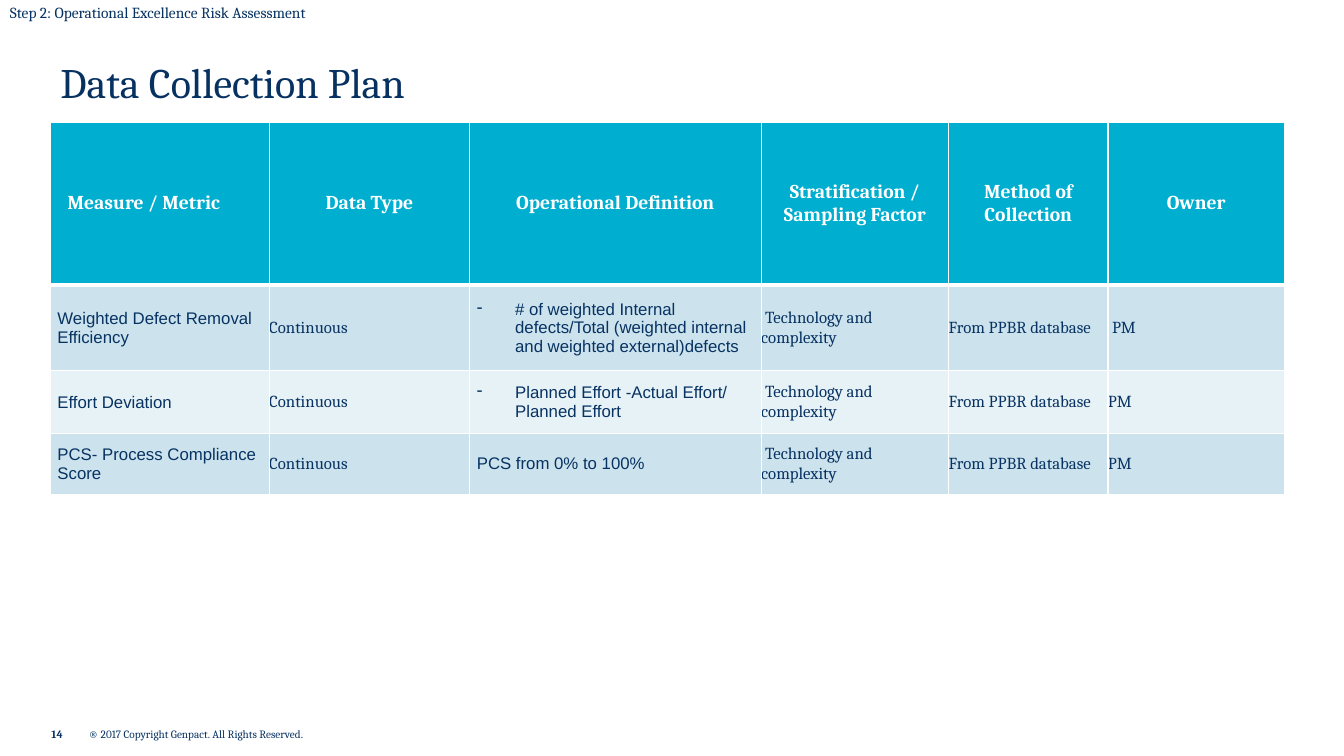
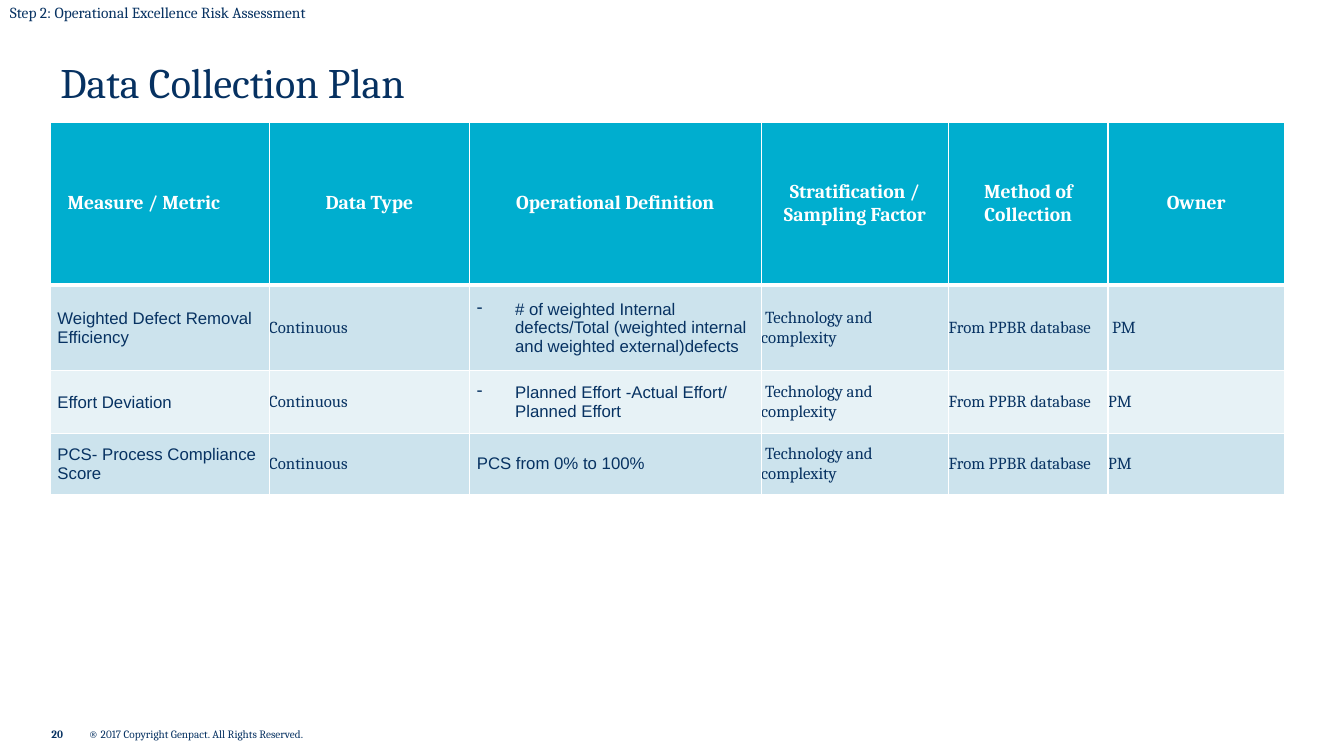
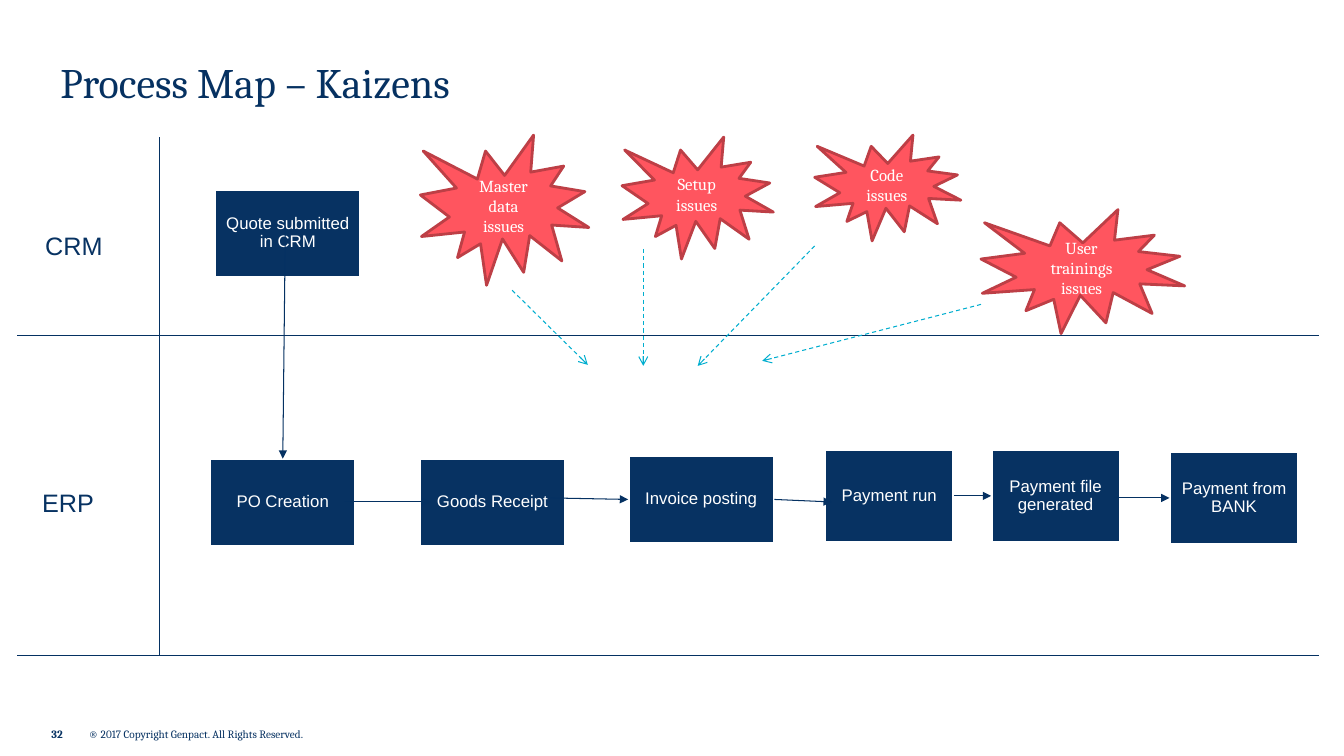
from dataclasses import dataclass

from lxml.etree import SubElement
from pptx import Presentation
from pptx.dml.color import RGBColor
from pptx.enum.dml import MSO_LINE
from pptx.enum.shapes import MSO_CONNECTOR, MSO_SHAPE
from pptx.enum.text import MSO_ANCHOR, PP_ALIGN
from pptx.oxml import parse_xml
from pptx.oxml.ns import nsdecls, qn
from pptx.util import Inches, Pt


@dataclass(frozen=True)
class Theme:
    navy: str = "073262"
    title_navy: str = "063161"
    line_navy: str = "053162"
    cyan: str = "00AECF"
    white: str = "FFFFFF"
    row_dark: str = "CCE3ED"
    row_light: str = "E7F2F6"
    red: str = "FF555F"
    dark_red: str = "BD3F46"
    serif: str = "Cambria"
    sans: str = "Arial"
    title_size: int = 30
    lane_size: int = 18
    header_size: int = 14
    body_size: int = 12
    step_size: int = 11
    footer_size: int = 8


THEME = Theme()
TOP, LEFT, BOTTOM, RIGHT = range(4)

PLAN_COLUMNS = [2.17, 1.99, 2.89, 1.86, 1.58, 1.75]
PLAN_ROWS = [1.62, 0.85, 0.62, 0.61]
PLAN_HEADERS = [
    "Measure / Metric", "Data Type", "Operational Definition",
    "Stratification / Sampling Factor", "Method of Collection", "Owner",
]
# Metric, operational definition, whether the definition is bulleted, owner indent
PLAN_METRICS = [
    ("Weighted Defect Removal Efficiency",
     "# of weighted Internal defects/Total (weighted internal and weighted external)defects",
     True, 0.04),
    ("Effort Deviation", "Planned Effort -Actual Effort/ Planned Effort", True, 0),
    ("PCS- Process Compliance Score", "PCS from 0% to 100%", False, 0),
]


def rgb(value):
    return RGBColor.from_string(value)


def indent(paragraph, left=0, first=0, bullet=None):
    properties = paragraph._p.get_or_add_pPr()
    properties.set("marL", str(Inches(left)))
    properties.set("indent", str(Inches(first)))
    if bullet:
        SubElement(properties, qn("a:buChar")).set("char", bullet)


def set_borders(cell, top=1, bottom=1):
    """Put white borders on a cell; widths are in points."""
    properties = cell._tc.get_or_add_tcPr()
    widths = {"lnL": 1, "lnR": 1, "lnT": top, "lnB": bottom}
    for position, (side, width) in enumerate(widths.items()):
        properties.insert(position, parse_xml(
            f'<a:{side} {nsdecls("a")} w="{Pt(width)}"><a:solidFill>'
            f'<a:srgbClr val="{THEME.white}"/></a:solidFill></a:{side}>'))


class Deck:
    def __init__(self):
        self.presentation = Presentation()
        self.presentation.slide_width = Inches(13.33)
        self.presentation.slide_height = Inches(7.5)
        self.slide = None

    def new_slide(self, title, number):
        self.slide = self.presentation.slides.add_slide(self.presentation.slide_layouts[6])
        footer = {"size": THEME.footer_size, "inset": 0, "anchor": MSO_ANCHOR.MIDDLE}
        self.label(str(number), 0.51, 7.16, 0.75, 0.24, bold=True, **footer)
        self.label("® 2017 Copyright Genpact. All Rights Reserved.",
                   0.88, 7.16, 2.58, 0.24, **footer)
        self.label(title, 0.5, 0.52, 7.91, 0.58, size=THEME.title_size,
                   color=THEME.title_navy, anchor=MSO_ANCHOR.MIDDLE)

    def set_text(self, paragraph, text, size, color, font=THEME.serif, bold=False, align=None):
        paragraph.text = text
        paragraph.alignment = align
        style = paragraph.font
        style.name, style.size, style.bold = font, Pt(size), bold
        style.color.rgb = rgb(color)

    def label(self, text, left, top, width, height, size, color=THEME.navy,
              font=THEME.serif, bold=False, inset=None, anchor=MSO_ANCHOR.TOP):
        frame = self.slide.shapes.add_textbox(
            Inches(left), Inches(top), Inches(width), Inches(height)).text_frame
        frame.word_wrap = True
        frame.vertical_anchor = anchor
        if inset is not None:
            frame.margin_left = frame.margin_right = Inches(inset)
            frame.margin_top = frame.margin_bottom = Inches(inset)
        self.set_text(frame.paragraphs[0], text, size, color, font, bold)

    def filled_shape(self, preset, text, left, top, width, height, fill, line, font):
        shape = self.slide.shapes.add_shape(
            preset, Inches(left), Inches(top), Inches(width), Inches(height))
        shape.shadow.inherit = False
        shape.fill.solid()
        shape.fill.fore_color.rgb = rgb(fill)
        shape.line.color.rgb = rgb(line)
        shape.line.width = Pt(2)
        shape.text_frame.vertical_anchor = MSO_ANCHOR.MIDDLE
        self.set_text(shape.text_frame.paragraphs[0], text, THEME.body_size, THEME.white,
                      font, align=PP_ALIGN.CENTER)
        return shape

    def step(self, text, left, top, width=1.45, height=0.87):
        box = self.filled_shape(MSO_SHAPE.RECTANGLE, text, left, top, width, height,
                                THEME.navy, THEME.white, THEME.sans)
        frame = box.text_frame
        frame.margin_left = frame.margin_right = Inches(0.05)
        frame.margin_top = frame.margin_bottom = Inches(0.05)
        frame.paragraphs[0].line_spacing = 0.9
        return box

    def burst(self, text, left, top, width, height):
        self.filled_shape(MSO_SHAPE.EXPLOSION1, text, left, top, width, height,
                          THEME.red, THEME.dark_red, THEME.serif)

    def line(self, start, end, color=THEME.line_navy, head=None, dashed=False,
             begin=None, finish=None):
        """Draw a line; begin and finish are (box, side) pairs to join."""
        connector = self.slide.shapes.add_connector(
            MSO_CONNECTOR.STRAIGHT, *[Inches(value) for value in (*start, *end)])
        connector.line.color.rgb = rgb(color)
        connector.line.width = Pt(0.75)
        if dashed:
            connector.line.dash_style = MSO_LINE.DASH
        properties = connector._element.spPr
        if head:
            SubElement(properties.find(qn("a:ln")), qn("a:tailEnd")).set("type", head)
        SubElement(properties, qn("a:effectLst"))
        if begin:
            connector.begin_connect(*begin)
        if finish:
            connector.end_connect(*finish)

    def cell(self, cell, text, fill, size=THEME.body_size, color=THEME.navy,
             font=THEME.serif, bold=False, align=None, margins=(0, 0),
             left=0, first=0, bullet=None, top=1, bottom=1):
        cell.fill.solid()
        cell.fill.fore_color.rgb = rgb(fill)
        set_borders(cell, top, bottom)
        cell.vertical_anchor = MSO_ANCHOR.MIDDLE
        cell.margin_left, cell.margin_right = [Inches(margin) for margin in margins]
        cell.margin_top = cell.margin_bottom = 0
        paragraph = cell.text_frame.paragraphs[0]
        indent(paragraph, left, first, bullet)
        self.set_text(paragraph, text, size, color, font, bold, align)

    def plan_table(self):
        table = self.slide.shapes.add_table(
            len(PLAN_ROWS), len(PLAN_COLUMNS), Inches(0.5), Inches(1.21),
            Inches(sum(PLAN_COLUMNS)), Inches(sum(PLAN_ROWS))).table
        table.horz_banding = False
        for column, width in zip(table.columns, PLAN_COLUMNS):
            column.width = Inches(width)
        for row, height in zip(table.rows, PLAN_ROWS):
            row.height = Inches(height)

        for index, header in enumerate(PLAN_HEADERS):
            self.cell(table.cell(0, index), header, THEME.cyan, THEME.header_size,
                      THEME.white, bold=True, bottom=3,
                      align=PP_ALIGN.CENTER if index else PP_ALIGN.LEFT,
                      margins=(0, 0) if index else (0.17, 0))

        sans = {"font": THEME.sans, "margins": (0.07, 0.07)}
        bulleted = {"left": 0.38, "first": -0.38, "bullet": "-"}
        for row, (metric, definition, is_bulleted, owner_indent) in enumerate(PLAN_METRICS, 1):
            entries = [
                (metric, sans),
                ("Continuous", {}),
                (definition, {**sans, **(bulleted if is_bulleted else {})}),
                ("Technology and complexity", {"first": 0.04}),
                ("From PPBR database", {}),
                ("PM", {"first": owner_indent}),
            ]
            fill = THEME.row_dark if row % 2 else THEME.row_light
            for column, (text, style) in enumerate(entries):
                self.cell(table.cell(row, column), text, fill,
                          top=3 if row == 1 else 1, **style)


def data_collection_plan(deck, number):
    deck.new_slide("Data Collection Plan", number)
    deck.plan_table()
    deck.label("Step 2: Operational Excellence Risk Assessment",
               0, -0.02, 5.44, 0.29, size=THEME.step_size)


def process_map(deck, number):
    deck.new_slide("Process Map – Kaizens", number)

    deck.step("Quote submitted in CRM", 2.13, 1.88)
    order = deck.step("PO Creation", 2.08, 4.55)
    deck.step("Goods Receipt", 4.16, 4.55)
    invoice = deck.step("Invoice posting", 6.23, 4.52)
    run = deck.step("Payment run", 8.18, 4.46, 1.28, 0.92)
    bank_file = deck.step("Payment file generated", 9.83, 4.46, 1.28, 0.92)
    payment = deck.step("Payment from BANK", 11.6, 4.48, 1.28, 0.92)

    deck.line((1.58, 1.36), (1.58, 6.5))
    for lane_bottom in (3.33, 6.5):
        deck.line((0.17, lane_bottom), (13.08, lane_bottom))
    for system, left, top in (("CRM", 0.35, 2.24), ("ERP", 0.32, 4.79)):
        deck.label(system, left, top, 1.92, 0.4, size=THEME.lane_size, font=THEME.sans)

    flows = [
        ((2.83, 2.25), (2.81, 4.55), None, (order, TOP)),
        ((3.42, 4.98), (4.27, 4.98), None, None),
        ((5.46, 4.94), (6.23, 4.95), None, (invoice, LEFT)),
        ((7.68, 4.95), (8.25, 4.98), (invoice, RIGHT), None),
        ((9.46, 4.92), (9.83, 4.92), (run, RIGHT), (bank_file, LEFT)),
        ((11.05, 4.94), (11.6, 4.94), None, (payment, LEFT)),
    ]
    for start, end, begin, finish in flows:
        deck.line(start, end, head="triangle", begin=begin, finish=finish)

    issue_arrows = [
        ((5.08, 2.88), (5.83, 3.62)),
        ((6.38, 2.47), (6.38, 3.63)),
        ((8.08, 2.44), (6.92, 3.63)),
        ((9.73, 3.02), (7.56, 3.58)),
    ]
    for start, end in issue_arrows:
        deck.line(start, end, THEME.cyan, head="arrow", dashed=True)

    deck.burst("User trainings issues", 9.73, 2.08, 2.02, 1.23)
    deck.burst("Code issues", 8.08, 1.34, 1.45, 1.05)
    deck.burst("Setup issues", 6.17, 1.36, 1.5, 1.21)
    deck.burst("Master data issues", 4.17, 1.34, 1.67, 1.49)


def main():
    deck = Deck()
    for number in (14, 20):
        data_collection_plan(deck, number)
    process_map(deck, 32)
    deck.presentation.save("out.pptx")


if __name__ == "__main__":
    main()
